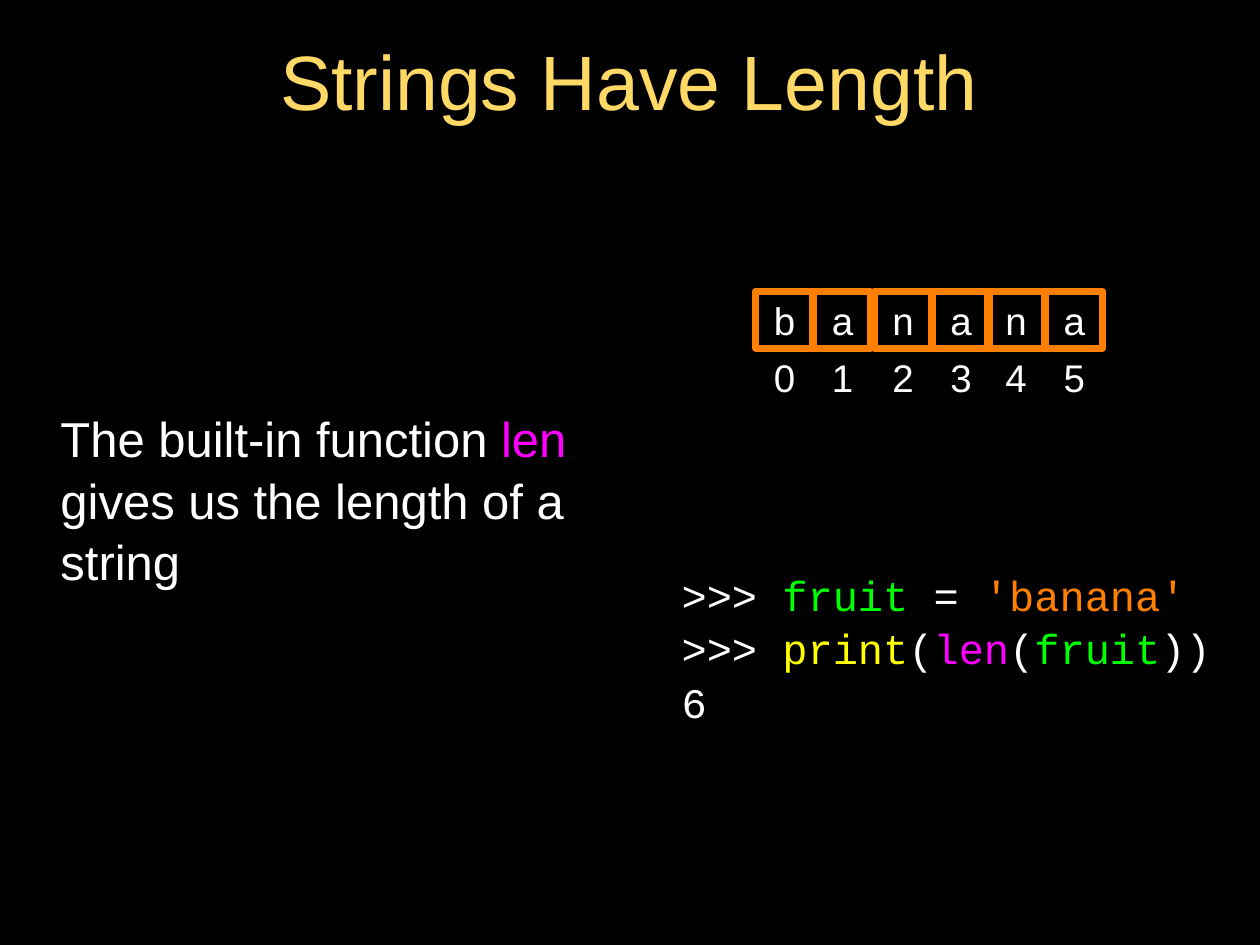
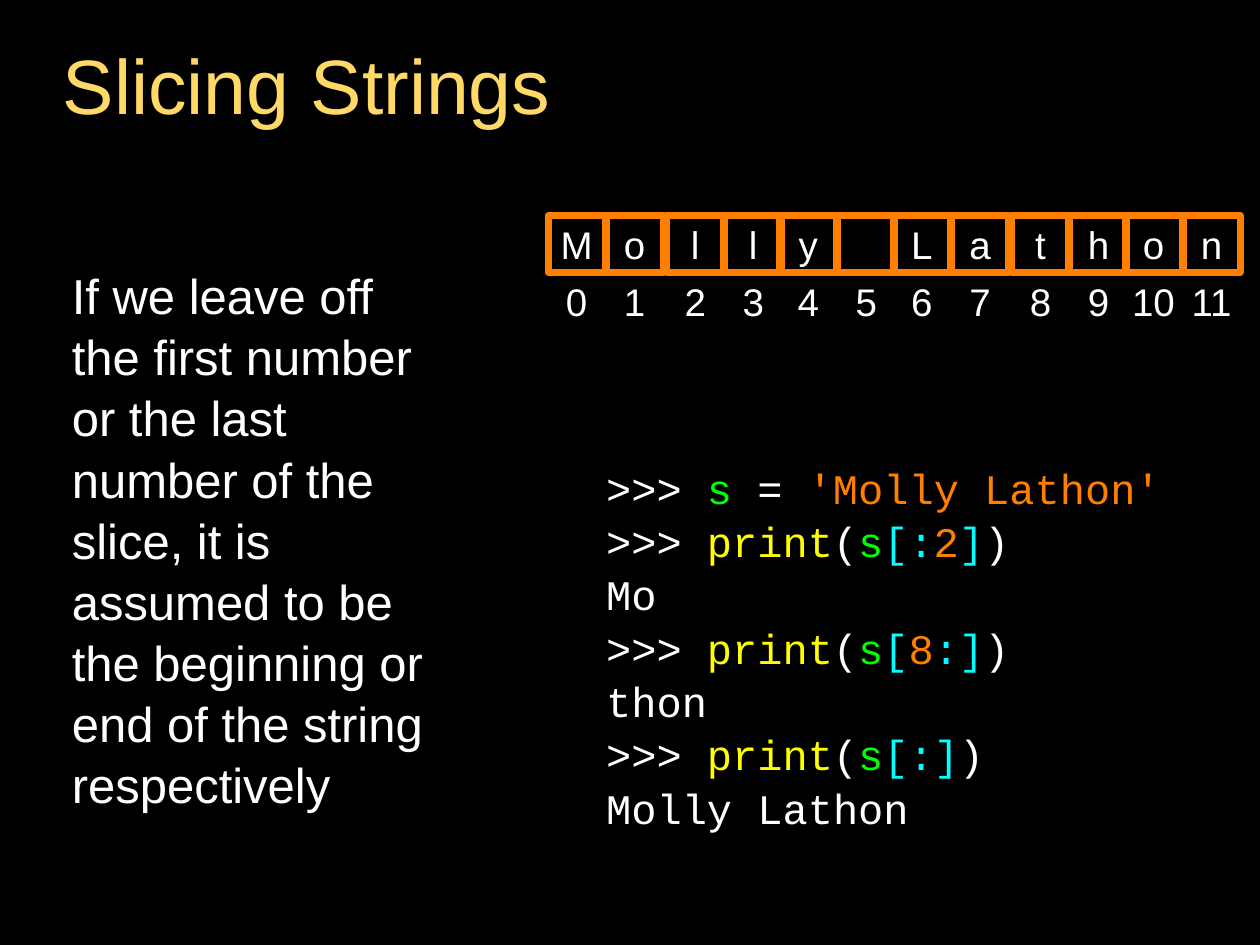
import pptx
import pptx.util
import pptx.dml.color
import pptx.enum.shapes
import pptx.enum.text

Cm = pptx.util.Cm
Pt = pptx.util.Pt
RGBColor = pptx.dml.color.RGBColor
Align = pptx.enum.text.PP_ALIGN

# Colours
BLACK = RGBColor(0x00, 0x00, 0x00)
WHITE = RGBColor(0xFF, 0xFF, 0xFF)
GOLD = RGBColor(0xFF, 0xD9, 0x66)
ORANGE = RGBColor(0xFF, 0x7F, 0x00)
GREEN = RGBColor(0x00, 0xFF, 0x00)
YELLOW = RGBColor(0xFF, 0xFF, 0x00)
MAGENTA = RGBColor(0xFF, 0x00, 0xFF)
CYAN = RGBColor(0x00, 0xFF, 0xFF)

# Fonts and line spacing
PROSE_FONT = "Arial"
CODE_FONT = "Courier New"
PROSE_SPACING = 1.04
CODE_SPACING = 1.06

# Letter cells: six uneven offsets, repeated every GROUP_WIDTH
CELL_SIZE = 1.15
CELL_OFFSETS = (0, 1.17, 2.39, 3.56, 4.67, 5.84)
GROUP_WIDTH = 6.96

# Code fragments used on both slides
PROMPT = (">>> ", WHITE)
EQUALS = (" = ", WHITE)
PRINT = ("print", YELLOW)
OPEN = ("(", WHITE)
CLOSE = (")", WHITE)


def write_lines(shape, lines, font, size, align=Align.LEFT, inset=0, spacing=None):
    """Fill a shape with lines, each a list of (text, colour) runs."""
    frame = shape.text_frame
    frame.word_wrap = True
    frame.vertical_anchor = pptx.enum.text.MSO_ANCHOR.MIDDLE
    frame.margin_left = frame.margin_right = Cm(inset)
    frame.margin_top = frame.margin_bottom = Cm(inset)
    for number, line in enumerate(lines):
        paragraph = frame.add_paragraph() if number else frame.paragraphs[0]
        paragraph.alignment = align
        if spacing:
            paragraph.line_spacing = spacing
        for text, colour in line:
            run = paragraph.add_run()
            run.text = text
            run.font.name = font
            run.font.size = Pt(size)
            run.font.color.rgb = colour


def add_text(slide, left, top, width, height, lines, font, size, **layout):
    box = slide.shapes.add_textbox(Cm(left), Cm(top), Cm(width), Cm(height))
    write_lines(box, lines, font, size, **layout)


def add_title(slide, left, top, width, height, title):
    add_text(slide, left, top, width, height, [[(title, GOLD)]], PROSE_FONT, 44,
             align=Align.CENTER, inset=0.05)


def add_explanation(slide, left, top, width, height, runs):
    # The left edge includes the paragraph indent
    indent = 0.33
    add_text(slide, left + indent, top, width - indent, height, [runs],
             PROSE_FONT, 28, inset=0.05, spacing=PROSE_SPACING)


def add_code(slide, left, top, width, height, lines):
    add_text(slide, left, top, width, height, lines, CODE_FONT, 24,
             spacing=CODE_SPACING)


def add_indexed_string(slide, left, top, string):
    """Draw one framed cell per letter with its index below."""
    for index, letter in enumerate(string):
        group, place = divmod(index, len(CELL_OFFSETS))
        cell_left = left + group * GROUP_WIDTH + CELL_OFFSETS[place]
        add_text(slide, cell_left, top + CELL_SIZE, CELL_SIZE, CELL_SIZE,
                 [[(str(index), WHITE)]], PROSE_FONT, 22, align=Align.CENTER)
        cell = slide.shapes.add_shape(
            pptx.enum.shapes.MSO_SHAPE.RECTANGLE,
            Cm(cell_left), Cm(top), Cm(CELL_SIZE), Cm(CELL_SIZE))
        cell.shadow.inherit = False
        cell.fill.background()
        cell.line.color.rgb = ORANGE
        cell.line.width = Pt(4)
        if letter.strip():
            write_lines(cell, [[(letter, WHITE)]], PROSE_FONT, 22,
                        align=Align.CENTER)


def add_black_slide(deck):
    slide = deck.slides.add_slide(deck.slide_layouts[6])
    slide.background.fill.solid()
    slide.background.fill.fore_color.rgb = BLACK
    return slide


def build_length_slide(deck):
    slide = add_black_slide(deck)
    add_title(slide, 1.8, 0.66, 21.77, 1.88, "Strings Have Length")
    add_explanation(slide, 0.84, 6.45, 10.82, 7.19, [
        ("The built-in function ", WHITE),
        ("len", MAGENTA),
        (" gives us the length of a string", WHITE),
    ])
    fruit = ("fruit", GREEN)
    add_code(slide, 13.74, 9.12, 11.25, 7.82, [
        [PROMPT, fruit, EQUALS, ("'banana'", ORANGE)],
        [PROMPT, PRINT, OPEN, ("len", MAGENTA), OPEN, fruit, ("))", WHITE)],
        [("6", WHITE)],
    ])
    add_indexed_string(slide, 15.24, 5.87, "banana")


def build_slicing_slide(deck):
    slide = add_black_slide(deck)
    add_title(slide, 0.74, 0.64, 10.9, 2.11, "Slicing Strings")
    add_explanation(slide, 1.07, 3.3, 8.05, 15.11, [
        ("If we leave off the first number or the last number of the slice, "
         "it is assumed to be the beginning or end of the string respectively",
         WHITE),
    ])
    s = ("s", GREEN)
    add_code(slide, 12.22, 7.62, 12.78, 10.8, [
        [PROMPT, s, EQUALS, ("'Molly Lathon'", ORANGE)],
        [PROMPT, PRINT, OPEN, s, ("[:", CYAN), ("2", ORANGE), ("]", CYAN), CLOSE],
        [("Mo", WHITE)],
        [PROMPT, PRINT, OPEN, s, ("[", CYAN), ("8", ORANGE), (":]", CYAN), CLOSE],
        [("thon", WHITE)],
        [PROMPT, PRINT, OPEN, s, ("[:]", CYAN), CLOSE],
        [("Molly Lathon", WHITE)],
    ])
    add_indexed_string(slide, 11.05, 4.34, "Molly Lathon")


def main():
    deck = pptx.Presentation()
    deck.slide_width = Cm(25.4)
    deck.slide_height = Cm(19.05)
    build_length_slide(deck)
    build_slicing_slide(deck)
    deck.save("out.pptx")


if __name__ == "__main__":
    main()
